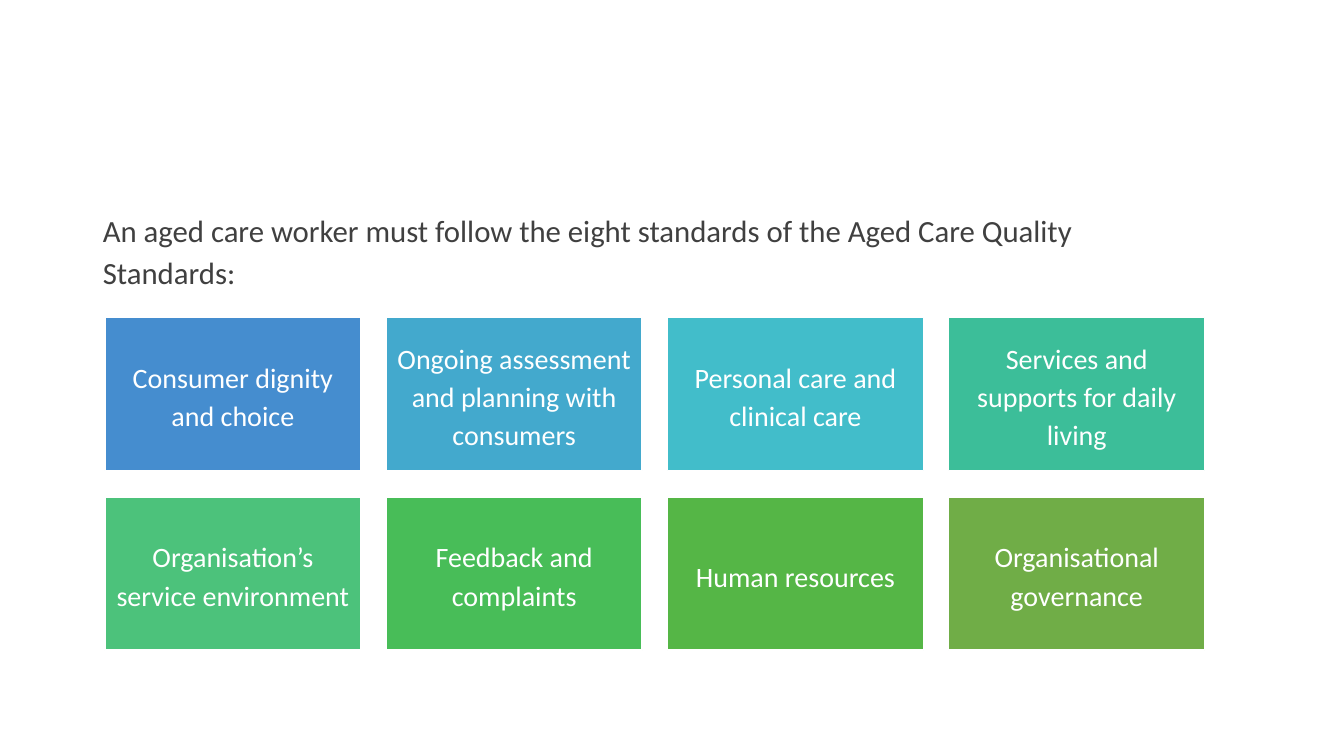
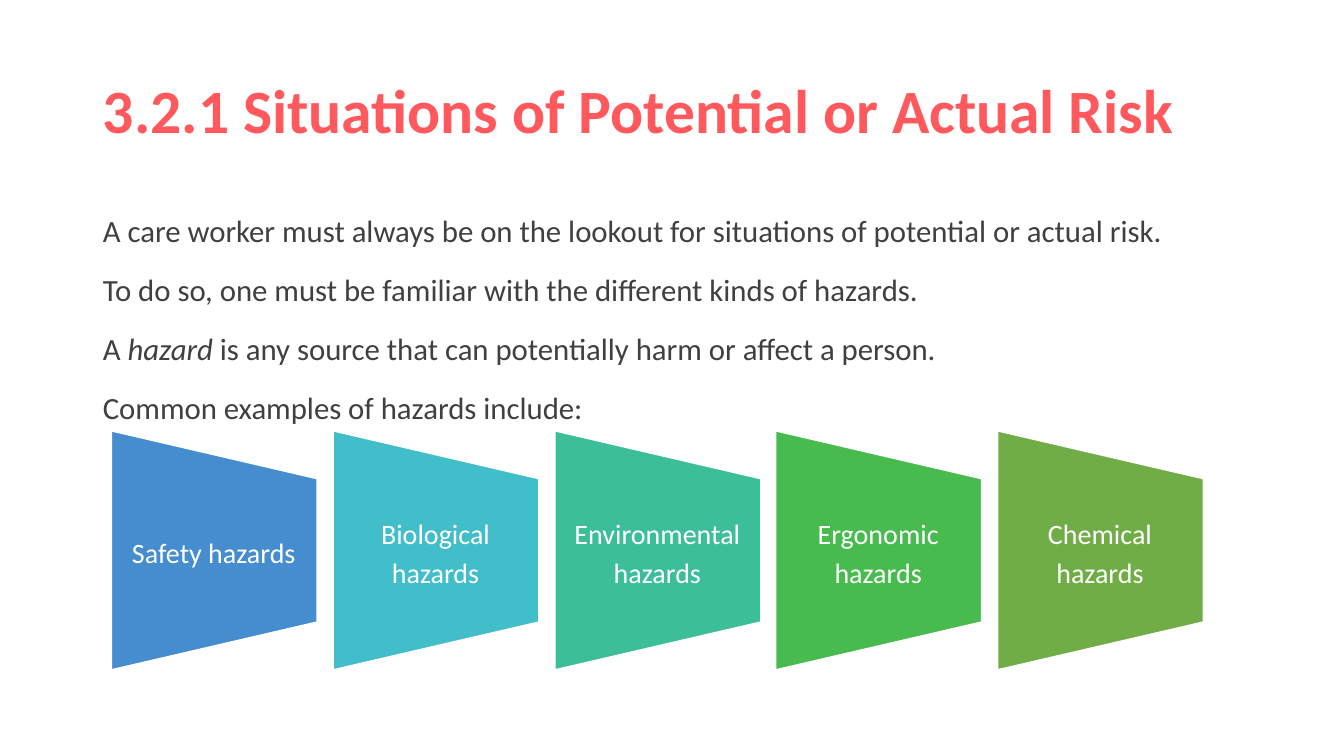
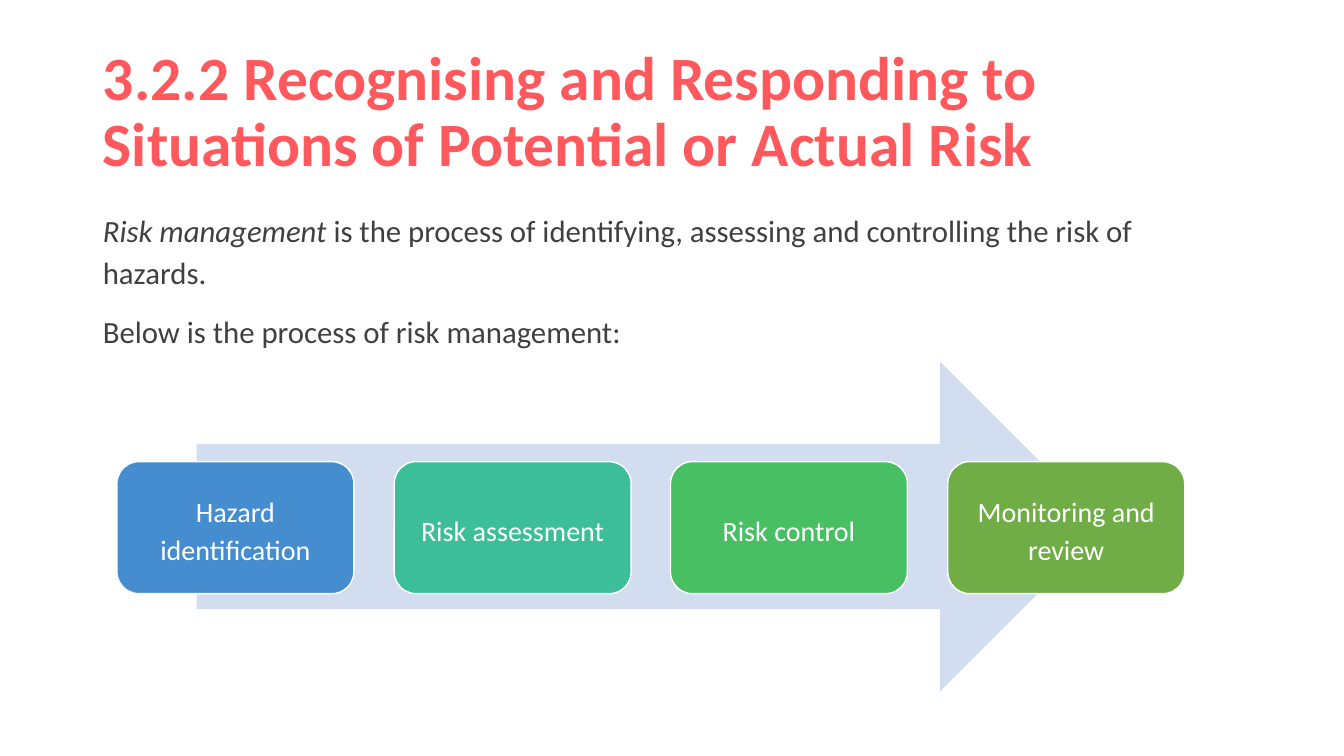
"""Build three slides on aged care standards, hazards and risk management."""
from dataclasses import dataclass

from lxml.etree import SubElement
from pptx import Presentation
from pptx.dml.color import RGBColor
from pptx.enum.shapes import MSO_SHAPE as Preset
from pptx.enum.text import MSO_ANCHOR as Anchor, MSO_AUTO_SIZE as AutoSize, PP_ALIGN as Align
from pptx.oxml.ns import qn
from pptx.util import Pt

PX = 9144


@dataclass(frozen=True)
class Theme:
    """Colours, font and type sizes that all slides share."""
    font: str = "Calibri"
    title_size: int = 44
    body_size: int = 22
    label_size: int = 20
    title: str = "FF595E"
    body: str = "404040"
    white: str = "FFFFFF"
    arrow: str = "D2DEEF"
    blue: str = "458DCF"
    sky: str = "43A9CD"
    cyan: str = "42BDCA"
    teal: str = "3CBE99"
    mint: str = "4CC27B"
    emerald: str = "49BF64"
    green: str = "48BD58"
    bright: str = "48BB4F"
    leaf: str = "55B646"
    olive: str = "70AD47"


THEME = Theme()
TITLE_BOX = (92, 40, 1103, 145)
BODY_BOX = (92, 200, 1103, 476)
TITLE_FORMAT = {"alignment": Align.LEFT, "line_spacing": 0.9, "space_before": Pt(0)}
BODY_FORMAT = {"alignment": Align.LEFT, "line_spacing": 1.14, "space_after": Pt(6)}
LABEL_FORMAT = {"alignment": Align.CENTER, "line_spacing": 1.14, "space_after": Pt(6)}


def emu(box):
    """Turn px lengths into EMU."""
    return [length * PX for length in box]


def spread(first, last, count):
    """Return evenly spaced px positions from first to last."""
    return [round(first + (last - first) * index / (count - 1)) for index in range(count)]


def apply_format(target, values):
    """Set each attribute named in a dict."""
    for name, value in values.items():
        setattr(target, name, value)


def add_run(paragraph, text, size, colour, bold=False, italic=False):
    """Add a run in the theme font."""
    run = paragraph.add_run()
    run.text = text
    apply_format(run.font, {"name": THEME.font, "size": Pt(size), "bold": bold, "italic": italic})
    run.font.color.rgb = RGBColor.from_string(colour)


def set_frame(frame, anchor, margins):
    """Set wrapping, anchor and px margins (horizontal, vertical) of a text frame."""
    across, down = emu(margins)
    apply_format(frame, {
        "word_wrap": True, "auto_size": AutoSize.NONE, "vertical_anchor": anchor,
        "margin_left": across, "margin_right": across,
        "margin_top": down, "margin_bottom": down,
    })


def write_title(slide, text):
    """Fill the title placeholder, or remove it when there is no text."""
    title = slide.shapes.title
    if not text:
        title.element.getparent().remove(title.element)
        return
    set_frame(title.text_frame, Anchor.MIDDLE, (10, 5))
    paragraph = title.text_frame.paragraphs[0]
    apply_format(paragraph, TITLE_FORMAT)
    add_run(paragraph, text, THEME.title_size, THEME.title, bold=True)


def write_body(slide, lines):
    """Fill the body placeholder; text between asterisks is italic."""
    frame = slide.placeholders[1].text_frame
    set_frame(frame, Anchor.TOP, (10, 5))
    for index, line in enumerate(lines):
        paragraph = frame.add_paragraph() if index else frame.paragraphs[0]
        properties = paragraph._p.get_or_add_pPr()
        properties.set("marL", "0")
        properties.set("indent", "0")
        SubElement(properties, qn("a:buNone"))
        apply_format(paragraph, BODY_FORMAT)
        paragraph.space_before = Pt(6 if index else 0)
        for part, text in enumerate(line.split("*")):
            if text:
                add_run(paragraph, text, THEME.body_size, THEME.body, italic=part % 2 == 1)


def add_slide(presentation, title, lines):
    """Add a slide with its title and body text."""
    slide = presentation.slides.add_slide(presentation.slide_layouts[1])
    write_title(slide, title)
    write_body(slide, lines)
    return slide


def add_block(slide, preset, box, fill, outlined=True):
    """Add a filled preset shape, with a white outline if wanted."""
    shape = slide.shapes.add_shape(preset, *emu(box))
    shape.shadow.inherit = False
    shape.fill.solid()
    shape.fill.fore_color.rgb = RGBColor.from_string(fill)
    if outlined:
        shape.line.color.rgb = RGBColor.from_string(THEME.white)
        shape.line.width = Pt(1)
    else:
        shape.line.fill.background()
    return shape


def write_label(shape, text, margins=(8, 8)):
    """Write a centred white label in a shape or text box."""
    set_frame(shape.text_frame, Anchor.MIDDLE, margins)
    paragraph = shape.text_frame.paragraphs[0]
    apply_format(paragraph, LABEL_FORMAT)
    add_run(paragraph, text, THEME.label_size, THEME.white)


def add_standards(slide, standards, columns=4):
    """Lay out the standards as a grid of rectangles."""
    lefts = spread(104, 941, columns)
    for index, (text, fill) in enumerate(standards):
        row, column = divmod(index, columns)
        box = (lefts[column], 315 + 178 * row, 254, 152)
        write_label(add_block(slide, Preset.RECTANGLE, box, fill), text)


def add_hazards(slide, hazards):
    """Lay out the hazards as a row of sideways trapezoids."""
    for left, (text, fill) in zip(spread(94, 973, len(hazards)), hazards):
        trapezoid = add_block(slide, Preset.FLOWCHART_MANUAL_OPERATION, (left, 444, 237, 204), fill)
        trapezoid.rotation = 270
        label = slide.shapes.add_textbox(*emu((left + 16, 475, 204, 142)))
        write_label(label, text, (14, 0))


def add_process(slide, steps):
    """Lay out the steps as rounded boxes on a wide arrow."""
    add_block(slide, Preset.RIGHT_ARROW, (195, 359, 901, 327), THEME.arrow, outlined=False)
    for left, (text, fill) in zip(spread(116, 940, len(steps)), steps):
        write_label(add_block(slide, Preset.ROUNDED_RECTANGLE, (left, 458, 235, 131), fill), text)


def place_layout(presentation):
    """Set the slide size and the places of the shared placeholders."""
    apply_format(presentation, {"slide_width": 1333 * PX, "slide_height": 750 * PX})
    placeholders = presentation.slide_layouts[1].placeholders
    for placeholder, box in zip(placeholders, (TITLE_BOX, BODY_BOX)):
        apply_format(placeholder, dict(zip(("left", "top", "width", "height"), emu(box))))


def main():
    """Build and save the presentation."""
    presentation = Presentation()
    place_layout(presentation)

    slide = add_slide(presentation, "", [
        "An aged care worker must follow the eight standards of the Aged Care Quality Standards:",
    ])
    add_standards(slide, [
        ("Consumer dignity and choice", THEME.blue),
        ("Ongoing assessment and planning with consumers", THEME.sky),
        ("Personal care and clinical care", THEME.cyan),
        ("Services and supports for daily living", THEME.teal),
        ("Organisation’s service environment", THEME.mint),
        ("Feedback and complaints", THEME.green),
        ("Human resources", THEME.leaf),
        ("Organisational governance", THEME.olive),
    ])

    slide = add_slide(presentation, "3.2.1 Situations of Potential or Actual Risk", [
        "A care worker must always be on the lookout for situations of potential or actual risk.",
        "To do so, one must be familiar with the different kinds of hazards.",
        "A *hazard* is any source that can potentially harm or affect a person.",
        "Common examples of hazards include:",
    ])
    add_hazards(slide, [
        ("Safety hazards", THEME.blue),
        ("Biological hazards", THEME.cyan),
        ("Environmental hazards", THEME.teal),
        ("Ergonomic hazards", THEME.bright),
        ("Chemical hazards", THEME.olive),
    ])

    title = "3.2.2 Recognising and Responding to Situations of Potential or Actual Risk"
    slide = add_slide(presentation, title, [
        "*Risk management *is the process of identifying, assessing and controlling"
        " the risk of hazards.",
        "Below is the process of risk management:",
    ])
    add_process(slide, [
        ("Hazard identification", THEME.blue),
        ("Risk assessment", THEME.teal),
        ("Risk control", THEME.emerald),
        ("Monitoring and review", THEME.olive),
    ])

    presentation.save("out.pptx")


if __name__ == "__main__":
    main()
